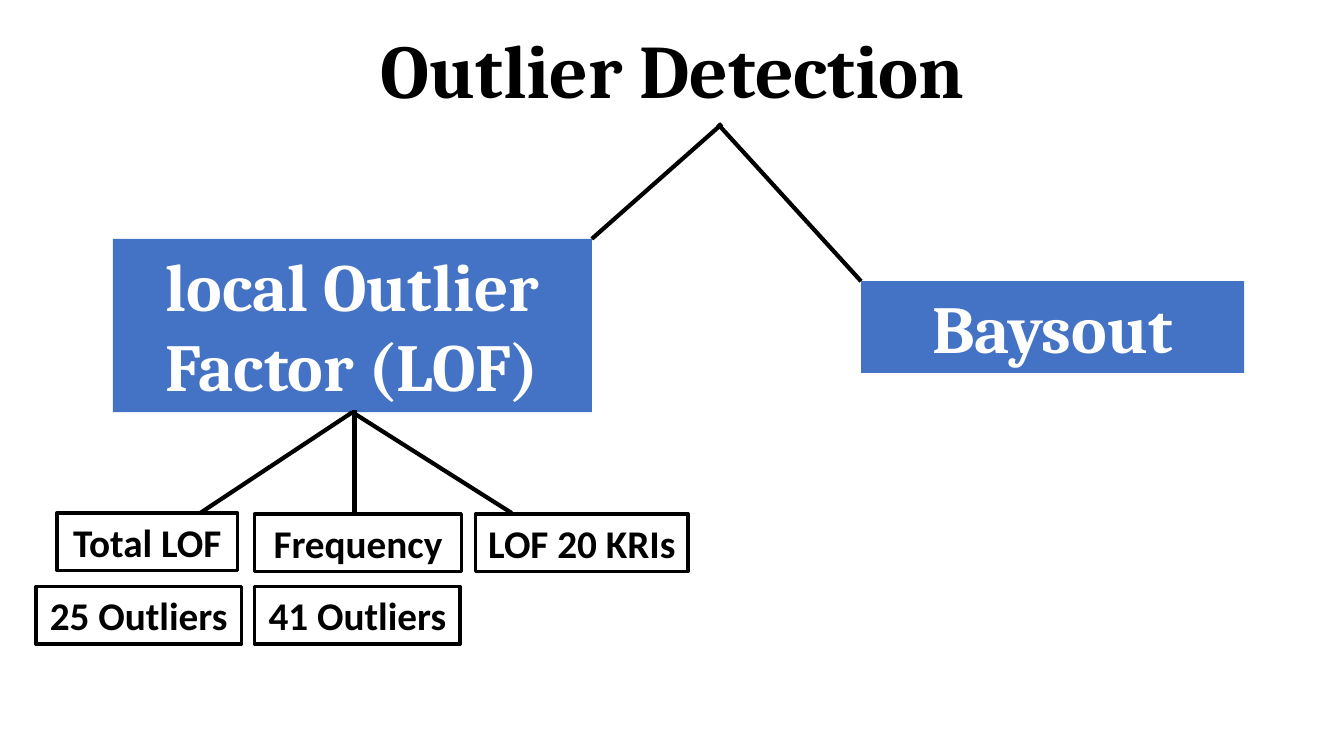
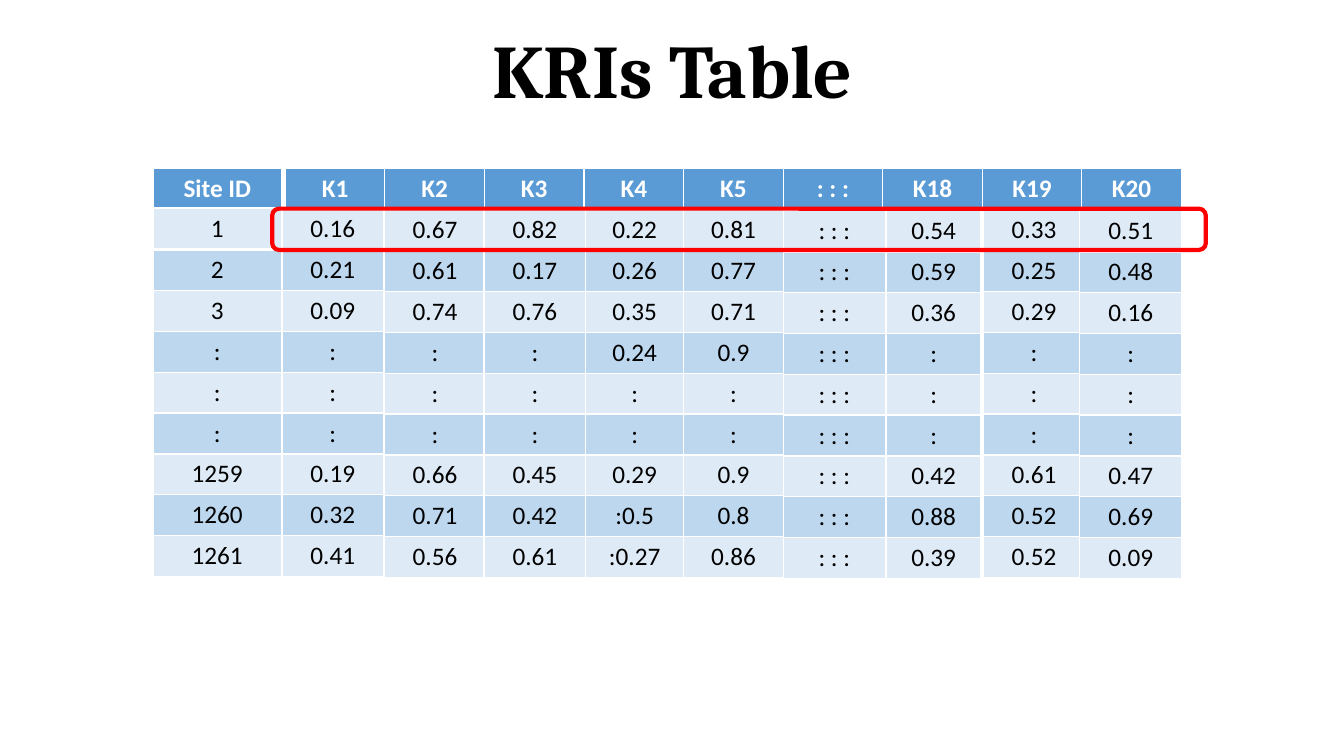
from dataclasses import dataclass
from lxml.etree import SubElement
from pptx import Presentation
from pptx.dml.color import RGBColor
from pptx.enum.shapes import MSO_CONNECTOR, MSO_SHAPE
from pptx.enum.text import MSO_ANCHOR, MSO_AUTO_SIZE, PP_ALIGN
from pptx.oxml.ns import qn
from pptx.util import Inches, Pt


@dataclass(frozen=True)
class Theme:
    black: str = "000000"
    white: str = "FFFFFF"
    blue: str = "4472C4"
    header: str = "5B9BD5"
    bands: tuple = ("DEEBF7", "BDD7EE")
    red: str = "FF0000"
    serif: str = "Cambria"
    sans: str = "Calibri"
    title_size: int = 54
    method_size: int = 48
    leaf_size: int = 28
    cell_size: int = 18
    rule: float = 3
    leaf_rule: float = 2.5


T = Theme()
TITLE_BOX = (0.92, 0.01, 11.5, 1.45)
LOF_BOX = (1.12, 2.37, 4.75, 1.72)
BAYSOUT_BOX = (8.54, 2.79, 3.8, 0.91)
LEAF_H = 0.57
ROW_H = 3.65 / 9
LEAVES = [
    ("Total LOF", -2.93, 1, 1.79),
    ("25 Outliers", -3.14, 1.73, 2.04),
    ("Frequency", -0.97, 1.01, 2.05),
    ("41 Outliers", -0.97, 1.73, 2.04),
    ("LOF 20 KRIs ", 1.22, 1.01, 2.11),
]
DOTS = ": : :"
KRI_NAMES = ["K1", "K2", "K3", "K4", "K5", DOTS, "K18", "K19", "K20"]
KRI_COLUMNS = [
    (0, 0, 1.27, ["1", "2", "3", ":", ":", ":", "1259", "1260", "1261"]),
    (1.28, 0, 1, ["0.16", "0.21", "0.09", ":", ":", ":", "0.19", "0.32", "0.41"]),
    (2.29, 0.01, 1.01, ["0.67", "0.61", "0.74", ":", ":", ":", "0.66", "0.71", "0.56"]),
    (3.28, 0.01, 1.01, ["0.82", "0.17", "0.76", ":", ":", ":", "0.45", "0.42", "0.61"]),
    (4.29, 0.01, 0.97, ["0.22", "0.26", "0.35", "0.24", ":", ":", "0.29", ":0.5", ":0.27"]),
    (5.26, 0.01, 0.99, ["0.81", "0.77", "0.71", "0.9", ":", ":", "0.9", "0.8", "0.86"]),
    (6.25, 0.02, 1.01, [DOTS] * 9),
    (7.27, 0.02, 0.94, ["0.54", "0.59", "0.36", ":", ":", ":", "0.42", "0.88", "0.39"]),
    (8.23, 0.01, 1.01, ["0.33", "0.25", "0.29", ":", ":", ":", "0.61", "0.52", "0.52"]),
    (9.19, 0.02, 1.01, ["0.51", "0.48", "0.16", ":", ":", ":", "0.47", "0.69", "0.09"]),
]


def rgb(color):
    return RGBColor.from_string(color)


def inches(*values):
    return [Inches(v) for v in values]


def write(tf, text, font, size, color, bold=True):
    tf.text = text
    p = tf.paragraphs[0]
    p.alignment = PP_ALIGN.CENTER
    f = p.runs[0].font
    f.name, f.size, f.bold = font, Pt(size), bold
    f.color.rgb = rgb(color)
    return p


def new_slide(prs, title):
    s = prs.slides.add_slide(prs.slide_layouts[5])
    sp = s.shapes.title
    sp.left, sp.top, sp.width, sp.height = inches(*TITLE_BOX)
    tf = sp.text_frame
    p = write(tf, title, T.serif, T.title_size, T.black)
    p.line_spacing = 0.9
    tf.vertical_anchor = MSO_ANCHOR.MIDDLE
    tf.auto_size = MSO_AUTO_SIZE.NONE
    return s


def add_box(s, box, fill=None, line=None, width=T.rule, kind=MSO_SHAPE.RECTANGLE):
    sp = s.shapes.add_shape(kind, *inches(*box))
    sp.shadow.inherit = False
    if fill:
        sp.fill.solid()
        sp.fill.fore_color.rgb = rgb(fill)
    else:
        sp.fill.background()
    if line:
        sp.line.color.rgb = rgb(line)
        sp.line.width = Pt(width)
    else:
        sp.line.fill.background()
    return sp


def label(sp, *style):
    tf = sp.text_frame
    tf.word_wrap = True
    tf.vertical_anchor = MSO_ANCHOR.TOP
    tf.auto_size = MSO_AUTO_SIZE.SHAPE_TO_FIT_TEXT
    write(tf, *style)


def add_line(s, start, end):
    c = s.shapes.add_connector(MSO_CONNECTOR.STRAIGHT, *inches(*start, *end))
    c.line.color.rgb = rgb(T.black)
    c.line.width = Pt(T.rule)
    SubElement(c._element.spPr, qn("a:effectLst"))


def add_method(s, box, text):
    label(add_box(s, box, fill=T.blue), text, T.serif, T.method_size, T.white)


def add_lof_branch(s, box):
    left, top, width, height = box
    x, y = left + width / 2, top + height
    for dx in (-1.51, 1.58):
        add_line(s, (x, y), (x + dx, y + 1))
    add_line(s, (x + 0.02, y - 0.02), (x + 0.02, y + 1))
    for text, dx, dy, w in LEAVES:
        sp = add_box(s, (x + dx, y + dy, w, LEAF_H), line=T.black, width=T.leaf_rule)
        label(sp, text, T.sans, T.leaf_size, T.black)


def outlier_slide(prs):
    s = new_slide(prs, "Outlier Detection")
    add_method(s, LOF_BOX, "local Outlier Factor (LOF)")
    add_method(s, BAYSOUT_BOX, "Baysout")
    add_line(s, (7.16, 1.23), (LOF_BOX[0] + LOF_BOX[2], LOF_BOX[1]))
    add_line(s, (7.12, 1.23), BAYSOUT_BOX[:2])
    add_lof_branch(s, LOF_BOX)


def style_cell(cell, text, fill, color, bold, bottom):
    tcPr = cell._tc.get_or_add_tcPr()
    for tag, width in (("lnL", 1), ("lnR", 1), ("lnT", 1), ("lnB", bottom)):
        ln = SubElement(tcPr, qn(f"a:{tag}"), w=str(Pt(width)))
        SubElement(SubElement(ln, qn("a:solidFill")), qn("a:srgbClr"), val=T.white)
    cell.fill.solid()
    cell.fill.fore_color.rgb = rgb(fill)
    write(cell.text_frame, text, T.sans, T.cell_size, color, bold)


def add_grid(s, left, top, width, rows, header=False):
    size = len(rows), len(rows[0])
    box = inches(left, top, width, ROW_H * len(rows))
    table = s.shapes.add_table(*size, *box).table
    table.first_row = header
    table.horz_banding = not header
    for i, row in enumerate(rows):
        table.rows[i].height = Inches(ROW_H)
        fill, color = (T.header, T.white) if header else (T.bands[i % 2], T.black)
        for j, text in enumerate(row):
            style_cell(table.cell(i, j), text, fill, color, header, 1 if i else 3)


def add_kri_table(s, left, top):
    add_grid(s, left, top, 1.27, [["Site ID"]], header=True)
    add_grid(s, left + 1.31, top, 8.89, [KRI_NAMES], header=True)
    for dx, dy, width, values in KRI_COLUMNS:
        add_grid(s, left + dx, top + 0.4 + dy, width, [[v] for v in values])
    add_box(s, (left + 1.18, top + 0.4, 9.26, 0.41), line=T.red,
            kind=MSO_SHAPE.ROUNDED_RECTANGLE)


def kri_slide(prs):
    s = new_slide(prs, "KRIs Table")
    add_kri_table(s, 1.52, 1.67)


def main():
    prs = Presentation()
    prs.slide_width, prs.slide_height = inches(13.33, 7.5)
    outlier_slide(prs)
    kri_slide(prs)
    prs.save("out.pptx")


if __name__ == "__main__":
    main()
